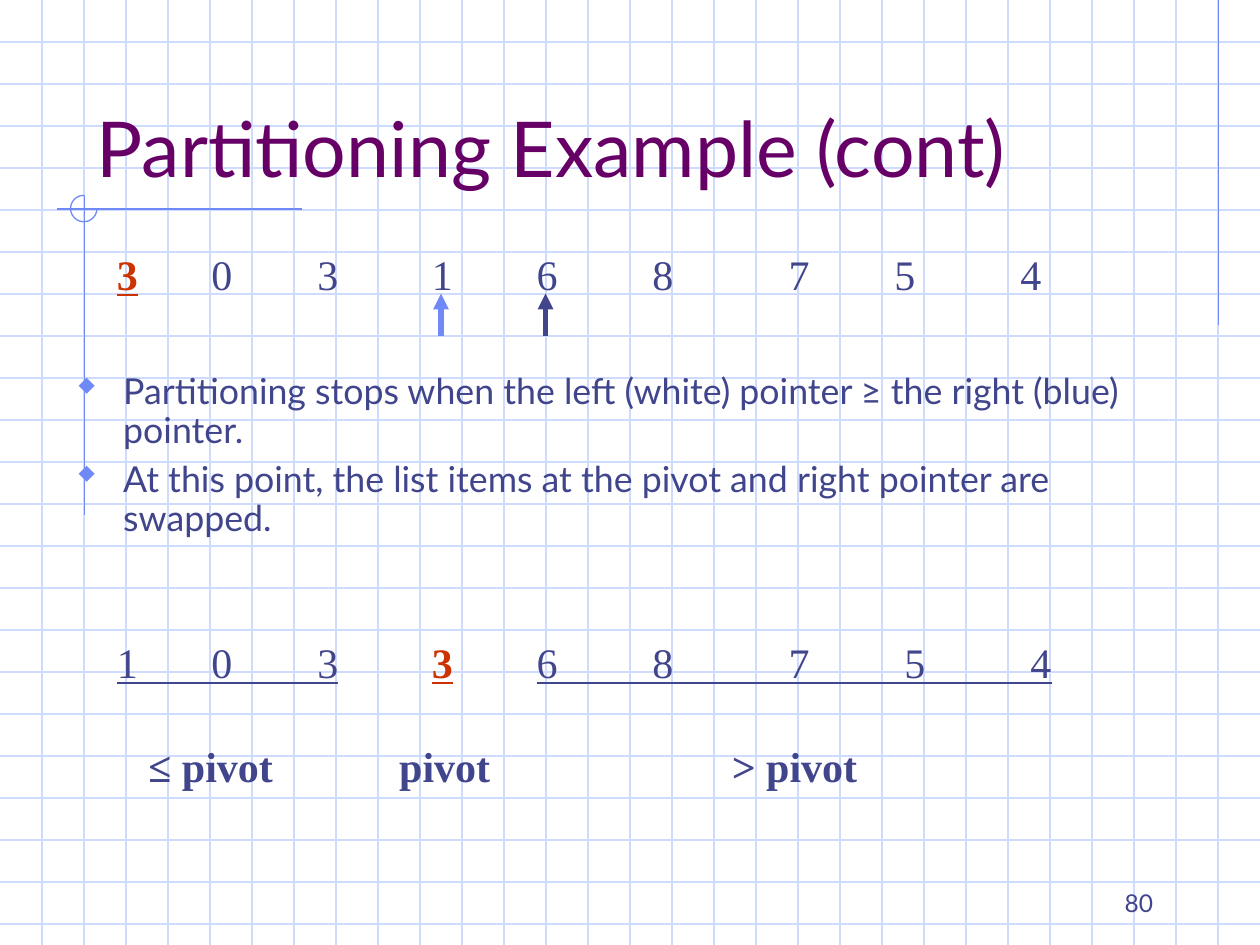
from dataclasses import dataclass

from lxml import etree
from pptx import Presentation
from pptx.dml.color import RGBColor
from pptx.enum import shapes, text
from pptx.oxml import ns
from pptx.util import Inches, Pt


@dataclass(frozen=True)
class Theme:
    grid: str = "CFDBFD"
    accent: str = "6F89F7"
    ink: str = "40458C"
    title: str = "660066"
    pivot: str = "CC3300"
    sans: str = "Lato"
    serif: str = "Times New Roman"
    bullets: str = "Wingdings"
    title_size: float = 44
    list_size: float = 24
    body_size: float = 20.4
    number_size: float = 14


THEME = Theme()
WIDTH, HEIGHT = 10, 7.5
GRID_STEP = 1 / 3


def add_element(parent, tag, **attributes):
    child = etree.SubElement(parent, ns.qn(tag))
    for name, value in attributes.items():
        child.set(name, str(value))
    return child


def add_line(page, start, end, color, width=0.75, arrow=False):
    line = page.shapes.add_connector(
        shapes.MSO_CONNECTOR.STRAIGHT, *map(Inches, (*start, *end)))
    line.line.color.rgb = RGBColor.from_string(color)
    line.line.width = Pt(width)
    if arrow:
        add_element(line.line._get_or_add_ln(), "a:tailEnd", type="triangle")
    add_element(line._element.spPr, "a:effectLst")


def add_box(page, left, top, width, height, anchor=text.MSO_ANCHOR.TOP):
    box = page.shapes.add_textbox(*map(Inches, (left, top, width, height)))
    box.text_frame.word_wrap = True
    box.text_frame.vertical_anchor = anchor
    return box.text_frame


def add_span(para, words, size, font=THEME.sans, color=THEME.ink,
             bold=False, underline=False):
    span = para.add_run()
    span.text = words
    span.font.size = Pt(size)
    span.font.name = font
    span.font.color.rgb = RGBColor.from_string(color)
    span.font.bold = bold
    span.font.underline = underline


def add_tabbed_row(page, left, top, stops, spans):
    """Place spans of (words, format) on tab stops given in inches."""
    para = add_box(page, left, top, 8.5, 0.5).paragraphs[0]
    tabs = add_element(para._p.get_or_add_pPr(), "a:tabLst")
    for stop in stops:
        add_element(tabs, "a:tab", pos=Inches(stop), algn="l")
    for words, style in spans:
        add_span(para, words, THEME.list_size, font=THEME.serif, **style)


def add_bullets(page, items):
    frame = add_box(page, 0.5, 2.92, 9, 1.58)
    for index, item in enumerate(items):
        para = frame.add_paragraph() if index else frame.paragraphs[0]
        para.line_spacing = 0.9
        if index:
            para.space_before = Pt(6)
        props = para._p.get_or_add_pPr()
        props.set("marL", str(Inches(0.38)))
        props.set("indent", str(Inches(-0.38)))
        add_element(add_element(props, "a:buClr"), "a:srgbClr", val=THEME.accent)
        add_element(props, "a:buSzPct", val=110000)
        add_element(props, "a:buFont", typeface=THEME.bullets,
                    pitchFamily=2, charset=2)
        add_element(props, "a:buChar", char="w")  # the diamond of this font
        add_span(para, item, THEME.body_size)


def add_backdrop(page):
    for row in range(1, 23):
        y = row * GRID_STEP
        add_line(page, (0, y), (WIDTH, y), THEME.grid)
    for column in range(1, 30):
        x = column * GRID_STEP
        add_line(page, (x, 0), (x, HEIGHT), THEME.grid)
    for start, end in (((9.67, 0), (9.67, 2.58)),
                       ((2.4, 1.66), (0.45, 1.66)),
                       ((0.67, 1.55), (0.67, 4.09))):
        add_line(page, start, end, THEME.accent)
    arc = page.shapes.add_shape(
        shapes.MSO_SHAPE.ARC, *map(Inches, (0.56, 1.55, 0.21, 0.21)))
    arc.adjustments[0] = 0
    arc.adjustments[1] = 162  # 270 degrees, in units of 100000 / 60000 degree
    arc.fill.background()
    arc.line.color.rgb = RGBColor.from_string(THEME.accent)
    arc.line.width = Pt(0.75)
    arc.shadow.inherit = False


def main():
    deck = Presentation()
    deck.slide_width, deck.slide_height = Inches(WIDTH), Inches(HEIGHT)
    page = deck.slides.add_slide(deck.slide_layouts[6])
    add_backdrop(page)

    title = add_box(page, 0.67, 0.33, 8.5, 1.25, text.MSO_ANCHOR.BOTTOM)
    add_span(title.paragraphs[0], "Partitioning Example (cont)",
             THEME.title_size, color=THEME.title)

    stops = [0.16, 0.91, 1.75, 2.66, 3.49, 4.41, 5.49]
    pivot = dict(color=THEME.pivot, bold=True, underline=True)
    add_tabbed_row(page, 0.67, 1.92, stops + [6.33, 7.33], [
        ("\t", {}), ("3", pivot), ("\t0\t3\t1\t6\t8\t7\t5\t4", {})])
    for x, color in ((3.5, THEME.accent), (4.33, THEME.ink)):
        add_line(page, (x, 2.67), (x, 2.33), color, width=3, arrow=True)
    add_tabbed_row(page, 0.67, 5, stops + [6.41, 7.41], [
        ("\t1\t0\t3\t", {}), ("3", pivot), ("\t6\t8\t7\t5\t4", {})])
    for group_start, group_end in ((0.93, 2.68), (4.26, 8.35)):
        add_line(page, (group_start, 5.42), (group_end, 5.42), THEME.ink, width=1.25)
    add_tabbed_row(page, 0.58, 5.83, [0.5, 2.49, 5.13], [
        ("\t≤ pivot\tpivot\t> pivot", dict(bold=True))])

    add_bullets(page, [
        "Partitioning stops when the left (white) pointer ≥ the right (blue) pointer.",
        "At this point, the list items at the pivot and right pointer are swapped."])

    number = add_box(page, 7.17, 6.83, 2.08, 0.5, text.MSO_ANCHOR.BOTTOM)
    number.paragraphs[0].alignment = text.PP_ALIGN.RIGHT
    add_span(number.paragraphs[0], "80", THEME.number_size)

    deck.save("out.pptx")


if __name__ == "__main__":
    main()
